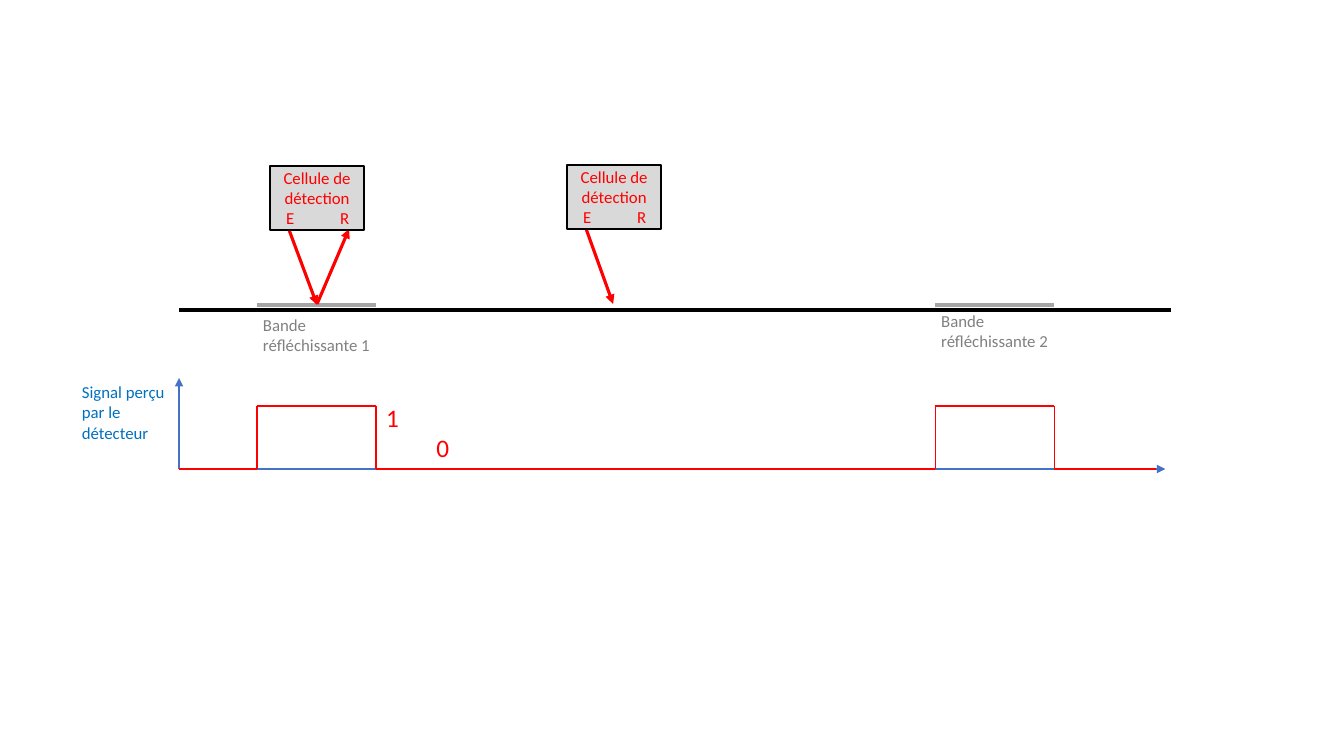
from lxml import etree
from pptx import Presentation
from pptx import util as u
from pptx.dml.color import RGBColor
from pptx.enum import shapes, text
from pptx.oxml.ns import qn

PX = 914400 / 100.8
COLORS = {"road": "000000", "strip": "A5A5A5", "strip_label": "808080",
          "cell": "D9D9D9", "signal": "FF0000", "axis": "4472C4",
          "axis_label": "0070C0"}

prs = Presentation()
prs.slide_width, prs.slide_height = u.Inches(13.33), u.Inches(7.5)
slide = prs.slides.add_slide(prs.slide_layouts[6])


def px(*lengths):
    return [round(length * PX) for length in lengths]


def write(box, lines, color, size=12, wrap=True, align=text.PP_ALIGN.LEFT,
          anchor=text.MSO_ANCHOR.TOP):
    frame = box.text_frame
    frame.word_wrap = wrap
    frame.vertical_anchor = anchor
    frame.text = "\n".join(lines)
    for paragraph in frame.paragraphs:
        paragraph.alignment = align
        paragraph.font.name = "Calibri"
        paragraph.font.size = u.Pt(size)
        paragraph.font.color.rgb = RGBColor.from_string(COLORS[color])
    return frame


# Lines: start x, start y, end x, end y, colour, width, arrowhead
STRIPS = [(257, 376, 310), (935, 1054, 306)]
ROAD_Y, STRIP_Y, HIGH_Y, LOW_Y = 310, 305, 406, 469
AXIS_X = 179
lines = [(AXIS_X, ROAD_Y, 1171, ROAD_Y, "road", 3, False)]
lines += [(left, STRIP_Y, right, STRIP_Y, "strip", 3, False)
          for left, right, _ in STRIPS]

# Emitted and reflected beams
lines += [(289, 230, 317, 305, "signal", 2.25, True),
          (317, 304, 349, 229, "signal", 2.25, True),
          (586, 229, 613, 304, "signal", 2.25, True)]

# Signal axes
lines += [(AXIS_X, LOW_Y, AXIS_X, 378, "axis", 1, True),
          (AXIS_X, LOW_Y, 1165, LOW_Y, "axis", 1, True)]

# Signal: high over each strip, low elsewhere
low_start = AXIS_X
for left, right, _ in STRIPS:
    corners = [(low_start, LOW_Y), (left, LOW_Y), (left, HIGH_Y),
               (right, HIGH_Y), (right, LOW_Y)]
    lines += [(*start, *end, "signal", 1, False)
              for start, end in zip(corners, corners[1:])]
    low_start = right
lines.append((low_start, LOW_Y, 1156, LOW_Y, "signal", 1, False))

for x1, y1, x2, y2, color, width, arrow in lines:
    line = slide.shapes.add_connector(shapes.MSO_CONNECTOR.STRAIGHT,
                                      *px(x1, y1, x2, y2))
    line.line.color.rgb = RGBColor.from_string(COLORS[color])
    line.line.width = u.Pt(width)
    etree.SubElement(line._element.spPr, qn("a:effectLst"))
    if arrow:
        etree.SubElement(line.line._get_or_add_ln(), qn("a:tailEnd"),
                         type="triangle")

# Strip labels
for number, (left, _, top) in enumerate(STRIPS, start=1):
    label = slide.shapes.add_textbox(*px(left - 4, top, 128, 50))
    write(label, ["Bande", f"réfléchissante {number}"], "strip_label",
          wrap=False)

# Detection cells, with emitter E and receiver R on tab stops
for left, top in [(270, 166), (567, 165)]:
    cell = slide.shapes.add_shape(shapes.MSO_SHAPE.RECTANGLE,
                                  *px(left, top, 94, 64))
    cell.shadow.inherit = False
    cell.fill.solid()
    cell.fill.fore_color.rgb = RGBColor.from_string(COLORS["cell"])
    cell.line.color.rgb = RGBColor.from_string(COLORS["road"])
    cell.line.width = u.Pt(1)
    frame = write(cell, ["Cellule de détection", "\tE\tR"], "signal",
                  align=text.PP_ALIGN.CENTER, anchor=text.MSO_ANCHOR.MIDDLE)
    ports = frame.paragraphs[1]
    ports.alignment = text.PP_ALIGN.LEFT
    tabs = etree.Element(qn("a:tabLst"))
    for stop in px(6, 60):
        etree.SubElement(tabs, qn("a:tab"), pos=str(stop), algn="l")
    ports._p.get_or_add_pPr().insert(0, tabs)

# Signal labels
axis_label = slide.shapes.add_textbox(*px(72, 377, 107, 71))
write(axis_label, ["Signal perçu par le détecteur"], "axis_label")
levels = slide.shapes.add_textbox(*px(376, 397, 193, 72))
write(levels, ["1", "\t0"], "signal", size=18)

prs.save("out.pptx")
